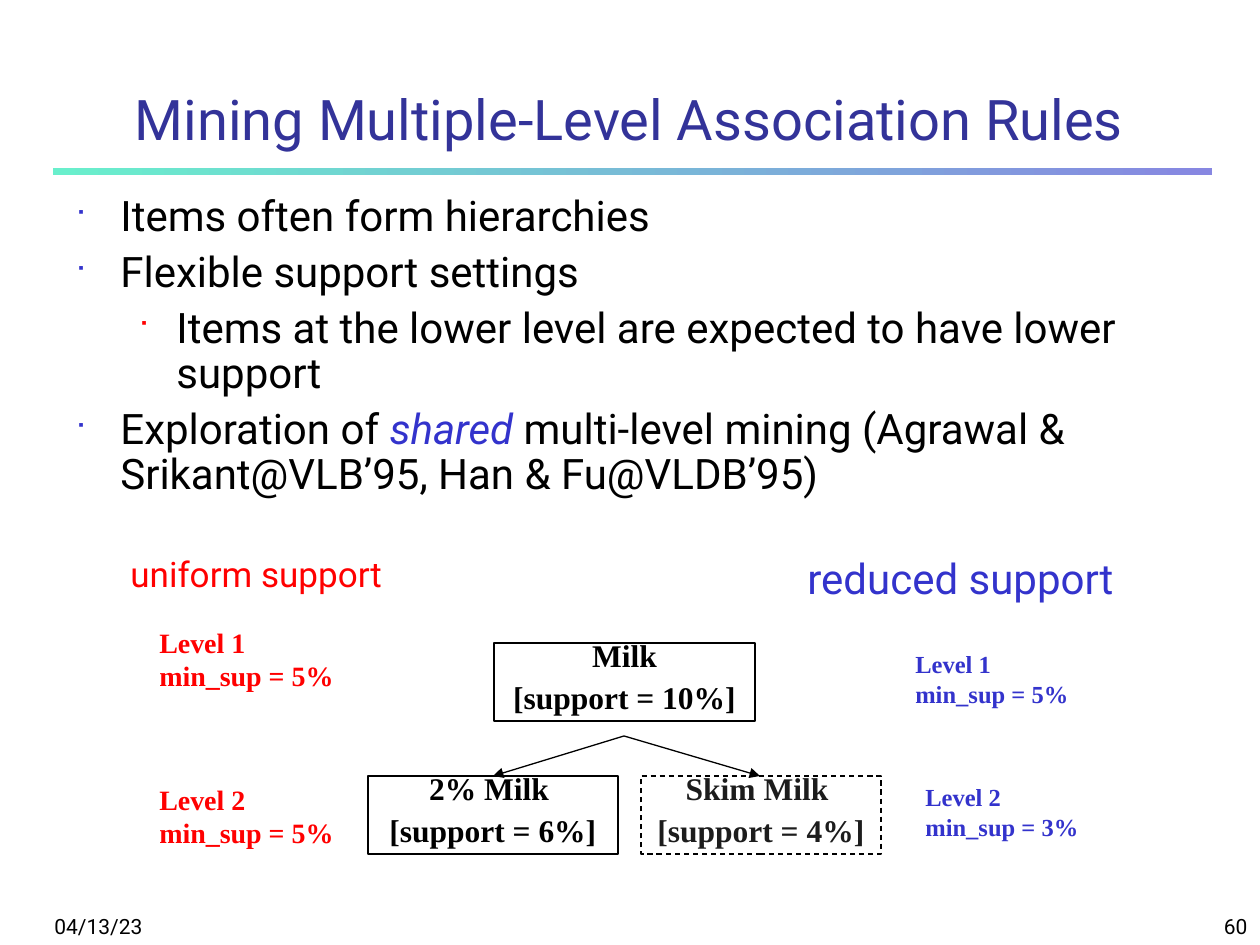
from lxml.etree import SubElement
from pptx import Presentation
from pptx.dml.color import RGBColor
from pptx.enum.dml import MSO_LINE
from pptx.enum.shapes import MSO_CONNECTOR, MSO_SHAPE
from pptx.enum.text import MSO_ANCHOR, PP_ALIGN
from pptx.oxml.ns import qn
from pptx.util import Pt

SCALE = 914400 / 126
COLORS = {
    "paper": "FFFFFF", "ink": "000000", "faded": "1C1C1C", "title": "333399",
    "blue": "3333CC", "red": "FF0000", "bar_start": "69EFCC", "bar_end": "8787E1",
}
SANS = {"name": "Roboto"}
SERIF = {"name": "Times New Roman", "bold": True}


def emu(*lengths):
    return [round(length * SCALE) for length in lengths]


def color(name):
    return RGBColor.from_string(COLORS[name])


def apply_format(target, values):
    for name, value in values.items():
        setattr(target, name, value)


def add_span(para, text, color_name, font):
    span = para.add_run()
    span.text = text
    span.font.color.rgb = color(color_name)
    apply_format(span.font, font)


def fill_text(box, lines, color_name, font, para_format=None, gap=0):
    for index, text in enumerate(lines):
        para = box.text_frame.paragraphs[0] if index == 0 else box.text_frame.add_paragraph()
        apply_format(para, para_format or {})
        if index and gap:
            para.space_before = Pt(gap)
        add_span(para, text, color_name, font)


def add_text(slide, area, lines, color_name, font, align=PP_ALIGN.LEFT,
             anchor=MSO_ANCHOR.TOP, wrap=True):
    box = slide.shapes.add_textbox(*emu(*area))
    apply_format(box.text_frame, {"word_wrap": wrap, "vertical_anchor": anchor})
    fill_text(box, lines, color_name, font, {"alignment": align})


def add_header(slide, left, top, width):
    bar = slide.shapes.add_shape(MSO_SHAPE.RECTANGLE, *emu(left, top + 94, width, 7))
    bar.shadow.inherit = False
    bar.line.fill.background()
    bar.fill.gradient()
    bar.fill.gradient_angle = 0
    for stop, name in zip(bar.fill.gradient_stops, ("bar_start", "bar_end")):
        stop.color.rgb = color(name)
    add_text(slide, (left + 36, top, 1081, 84), ["Mining Multiple-Level Association Rules"],
             "title", SANS | {"size": Pt(32)}, PP_ALIGN.CENTER, MSO_ANCHOR.BOTTOM)


def add_footer(slide, left, top, right):
    font = SANS | {"size": Pt(12)}
    for start, text, align in ((left, "04/13/23", PP_ALIGN.LEFT),
                               (right - 262, "60", PP_ALIGN.RIGHT)):
        add_text(slide, (start, top, 262, 53), [text], "ink", font, align, MSO_ANCHOR.BOTTOM)


def set_bullet(para, color_name, margin, indent, level):
    settings = para._p.get_or_add_pPr()
    settings.set("marL", str(emu(margin)[0]))
    settings.set("indent", str(emu(indent)[0]))
    paint = SubElement(settings, qn("a:buClr"))
    SubElement(paint, qn("a:srgbClr"), val=COLORS[color_name])
    SubElement(settings, qn("a:buSzPct"), val="60000")
    SubElement(settings, qn("a:buFont"), typeface="Wingdings")
    SubElement(settings, qn("a:buChar"), char="■")
    para.level = level


def add_bullets(slide, area):
    box = slide.shapes.add_textbox(*emu(*area))
    box.text_frame.word_wrap = True
    levels = [("blue", 45, -45, 0), ("red", 101, -38, 1)]
    items = [
        (0, [("Items often form hierarchies", "ink", False)]),
        (0, [("Flexible support settings", "ink", False)]),
        (1, [("Items at the lower level are expected to have lower support", "ink", False)]),
        (0, [("Exploration of ", "ink", False), ("shared", "blue", True),
             (" multi-level mining (Agrawal & Srikant@VLB’95, Han & Fu@VLDB’95)", "ink", False)]),
    ]
    for index, (level, spans) in enumerate(items):
        para = box.text_frame.paragraphs[0] if index == 0 else box.text_frame.add_paragraph()
        set_bullet(para, *levels[level])
        para.line_spacing = 0.9
        if index:
            para.space_before = Pt(6)
        for text, color_name, italic in spans:
            add_span(para, text, color_name, SANS | {"size": Pt(24), "italic": italic})


def add_node(slide, area, lines, color_name="ink", dash=None):
    node = slide.shapes.add_shape(MSO_SHAPE.RECTANGLE, *emu(*area))
    node.shadow.inherit = False
    node.fill.solid()
    node.fill.fore_color.rgb = color("paper")
    node.line.color.rgb = color("ink")
    apply_format(node.line, {"width": Pt(0.75), "dash_style": dash})
    apply_format(node.text_frame, {"word_wrap": True, "vertical_anchor": MSO_ANCHOR.TOP})
    fill_text(node, lines, color_name, SERIF | {"size": Pt(18)},
              {"alignment": PP_ALIGN.CENTER, "line_spacing": 0.6}, gap=11.2)


def add_arrow(slide, start, end):
    arrow = slide.shapes.add_connector(MSO_CONNECTOR.STRAIGHT, *emu(*start, *end))
    arrow.line.color.rgb = color("ink")
    arrow.line.width = Pt(0.75)
    SubElement(arrow.line._get_or_add_ln(), qn("a:tailEnd"), type="triangle")
    SubElement(arrow._element.spPr, qn("a:effectLst"))


def add_tree(slide, left, top):
    add_node(slide, (left + 126, top, 261, 78), ["Milk", "[support = 10%]"])
    add_node(slide, (left, top + 133, 250, 78), ["2% Milk ", "[support = 6%]"])
    add_node(slide, (left + 273, top + 133, 240, 78), ["Skim Milk ", "[support = 4%]"],
             "faded", MSO_LINE.DASH)
    for end in (125, 392):
        add_arrow(slide, (left + 256, top + 93), (left + end, top + 133))


def add_support(slide, left, top, heading, heading_size, width, color_name, size, levels):
    add_text(slide, (left, top, width, 63), [heading], color_name,
             SANS | {"size": Pt(heading_size)})
    for number, (across, down, minimum) in enumerate(levels, 1):
        add_text(slide, (left + across, top + down, 200, 80),
                 [f"Level {number}", f"min_sup = {minimum}"], color_name,
                 SERIF | {"size": Pt(size)})


def main():
    deck = Presentation()
    deck.slide_width, deck.slide_height = emu(1260, 945)
    slide = deck.slides.add_slide(deck.slide_layouts[6])
    add_header(slide, 53, 74, 1159)
    add_footer(slide, 42, 892, 1260)
    add_bullets(slide, (63, 189, 1155, 325))
    add_support(slide, 118, 546, "uniform support", 20, 334, "red", 16,
                [(29, 73, "5%"), (29, 230, "5%")])
    add_tree(slide, 368, 643)
    add_support(slide, 795, 546, "reduced support", 24, 354, "blue", 14,
                [(108, 97, "5%"), (118, 230, "3%")])
    deck.save("out.pptx")


if __name__ == "__main__":
    main()
